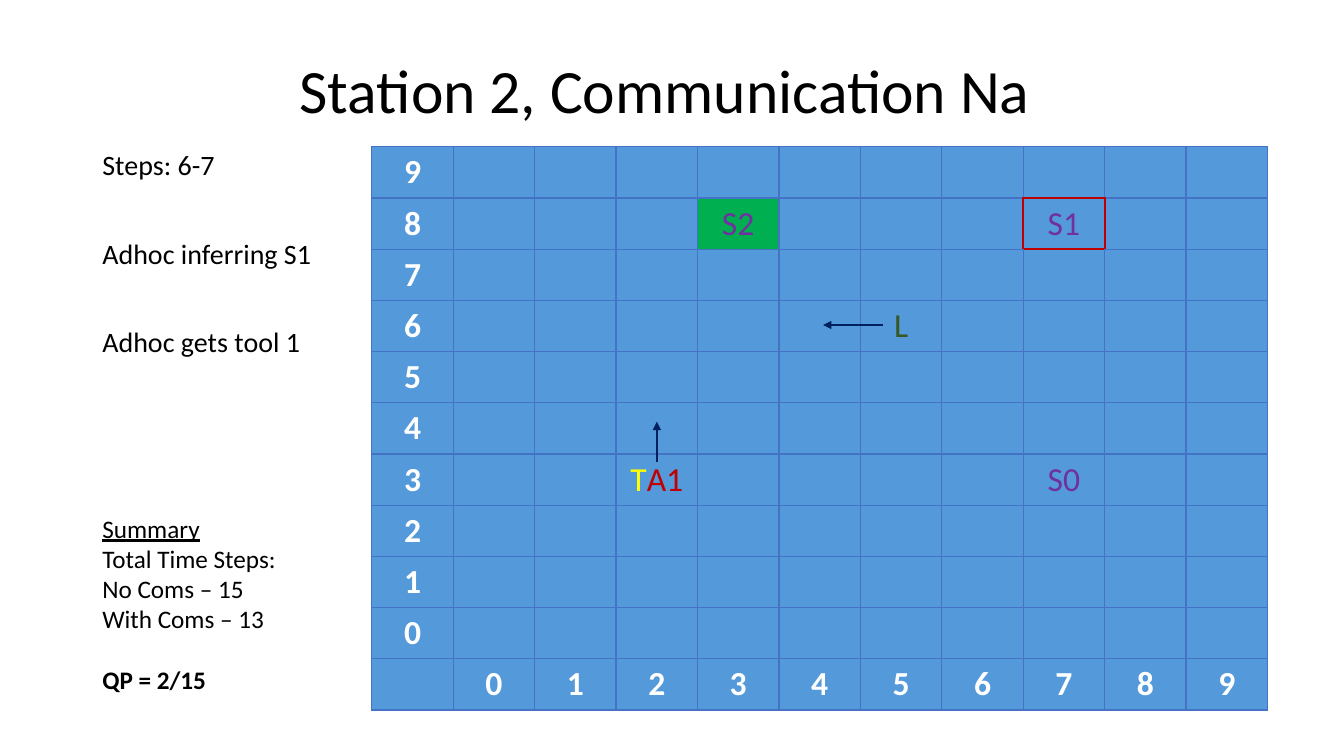
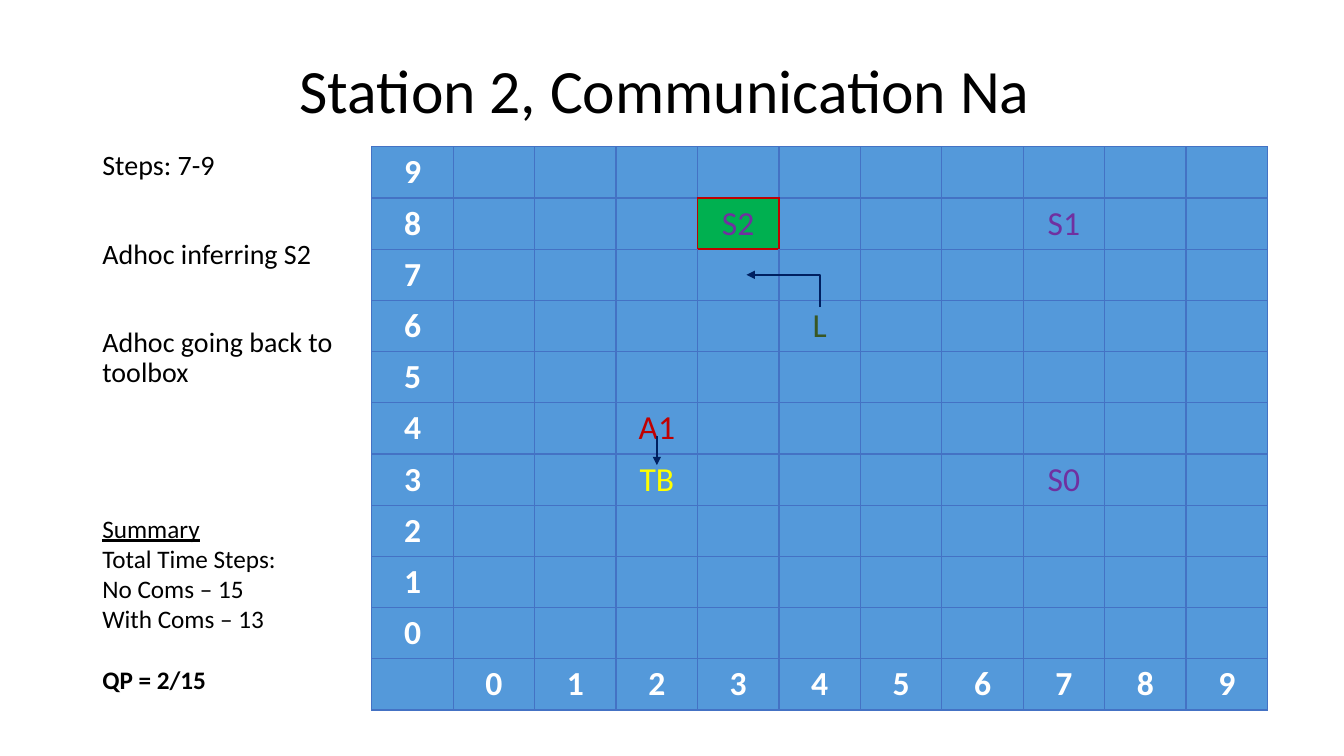
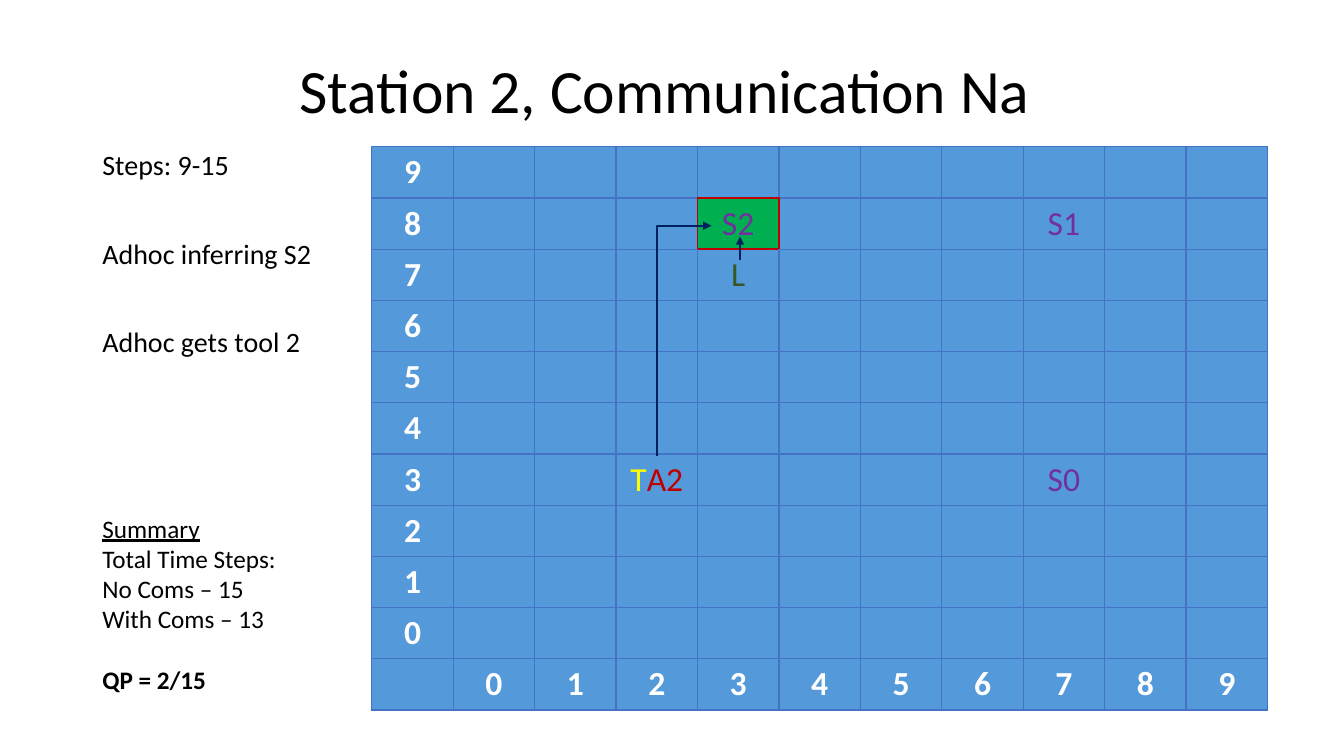
from dataclasses import dataclass

from lxml import etree
from pptx import Presentation
from pptx.dml.color import RGBColor
from pptx.enum.shapes import MSO_CONNECTOR
from pptx.enum.text import MSO_ANCHOR, PP_ALIGN
from pptx.oxml.ns import qn
from pptx.util import Cm, Pt

STRAIGHT, ELBOW = MSO_CONNECTOR.STRAIGHT, MSO_CONNECTOR.ELBOW
TOP, MIDDLE = MSO_ANCHOR.TOP, MSO_ANCHOR.MIDDLE
LEFT, CENTER = PP_ALIGN.LEFT, PP_ALIGN.CENTER


@dataclass(frozen=True)
class Theme:
    """Colours, font and sizes shared by every slide."""
    font: str = "Calibri"
    text: str = "000000"
    label: str = "FFFFFF"
    cell: str = "5499DA"
    border: str = "4472C4"
    goal: str = "00B050"
    inferred: str = "C00000"
    arrow: str = "002060"
    station: str = "7030A0"
    leader: str = "385723"
    adhoc: str = "C00000"
    toolbox: str = "FFFF00"
    title_pt: float = 44
    body_pt: float = 20
    summary_pt: float = 18
    grid_pt: float = 24
    border_pt: float = 1
    accent_pt: float = 1.5


T = Theme()
SIZE = 10
GRID_LEFT, GRID_TOP = 9.37, 3.7
COL_W, ROW_H = 22.58 / (SIZE + 1), 1.29
SIDE_LEFT, SIDE_WIDTH = 2.33, 6.58
GOAL = (3, 8)
STATIONS = {(7, 3): [("S0", T.station)], (7, 8): [("S1", T.station)],
            GOAL: [("S2", T.station)]}
# Side of a cell: border tag and the step to the neighbour it is shared with
SIDES = {"a:lnL": (-1, 0), "a:lnR": (1, 0), "a:lnT": (0, 1), "a:lnB": (0, -1)}


def grid_point(x, y):
    """Turn grid coordinates (cell centres are whole numbers) into lengths."""
    return (Cm(GRID_LEFT + (x + 1.5) * COL_W),
            Cm(GRID_TOP + (SIZE - 0.5 - y) * ROW_H))


class Deck:
    """Holds the theme and the current slide, and draws elements on it."""

    def __init__(self, theme):
        self.theme = theme
        self.prs = Presentation()
        self.prs.slide_width, self.prs.slide_height = Cm(33.87), Cm(19.05)
        self.s = None

    def add_slide(self):
        """Start a new blank slide."""
        self.s = self.prs.slides.add_slide(self.prs.slide_layouts[6])

    def run(self, p, text, size, color, bold=False, underline=False):
        """Add one styled run to a paragraph."""
        r = p.add_run()
        r.text = text
        f = r.font
        f.name, f.size, f.bold, f.underline = self.theme.font, Pt(size), bold, underline
        f.color.rgb = RGBColor.from_string(color)

    def text(self, box, lines, size, anchor=TOP, align=LEFT, spacing=1.0):
        """Add a text box; each line is (text, space before, run style)."""
        tf = self.s.shapes.add_textbox(*map(Cm, box)).text_frame
        tf.word_wrap, tf.vertical_anchor = True, anchor
        for i, (text, before, style) in enumerate(lines):
            p = tf.add_paragraph() if i else tf.paragraphs[0]
            p.alignment, p.line_spacing, p.space_before = align, spacing, Pt(before)
            self.run(p, text, size, self.theme.text, **style)

    def title(self, text):
        """Add the centred slide title."""
        self.text((SIDE_LEFT, 1.01, 29.21, 2.7), [(text, 0, {})],
                  self.theme.title_pt, MIDDLE, CENTER, 0.9)

    def remarks(self, lines):
        """Add the widely spaced remarks beside the grid."""
        self.text((SIDE_LEFT, GRID_TOP, SIDE_WIDTH, 9.4),
                  [(line, 41.5 if i else 0, {}) for i, line in enumerate(lines)],
                  self.theme.body_pt, spacing=0.9)

    def summary(self):
        """Add the summary of time steps."""
        self.text((SIDE_LEFT, 12.8, SIDE_WIDTH, 4.88), [
            ("Summary", 0, {"underline": True}),
            ("Total Time Steps:", 0, {}),
            ("No Coms – 15", 0, {}),
            ("With Coms – 13", 0, {}),
            ("QP = 2/15", 22, {"bold": True}),
        ], self.theme.summary_pt)

    def borders(self, cell, x, y, inferred):
        """Draw the cell borders, accented on the sides of the inferred cell."""
        tc_pr = cell._tc.get_or_add_tcPr()
        for i, (tag, (dx, dy)) in enumerate(SIDES.items()):
            accent = inferred in ((x, y), (x + dx, y + dy))
            width = self.theme.accent_pt if accent else self.theme.border_pt
            ln = etree.Element(qn(tag), w=str(Pt(width)))
            fill = etree.SubElement(ln, qn("a:solidFill"))
            etree.SubElement(fill, qn("a:srgbClr"),
                             val=self.theme.inferred if accent else self.theme.border)
            tc_pr.insert(i, ln)

    def grid(self, marks, inferred):
        """Add the labelled grid; marks maps (x, y) to coloured runs."""
        n = SIZE + 1
        table = self.s.shapes.add_table(n, n, Cm(GRID_LEFT), Cm(GRID_TOP),
                                        Cm(n * COL_W), Cm(n * ROW_H)).table
        table.first_row = table.horz_banding = False
        for row in table.rows:
            row.height = Cm(ROW_H)
        for col in table.columns:
            col.width = Cm(COL_W)
        for row in range(n):
            for col in range(n):
                x, y = col - 1, SIZE - 1 - row
                cell = table.cell(row, col)
                cell.vertical_anchor = MIDDLE
                cell.fill.solid()
                cell.fill.fore_color.rgb = RGBColor.from_string(
                    self.theme.goal if (x, y) == GOAL else self.theme.cell)
                self.borders(cell, x, y, inferred)
                p = cell.text_frame.paragraphs[0]
                p.alignment = CENTER
                is_label = (x < 0) != (y < 0)
                runs = [(str(max(x, y)), self.theme.label)] if is_label else marks.get((x, y), [])
                for text, color in runs:
                    self.run(p, text, self.theme.grid_pt, color, bold=is_label)

    def arrow(self, start, end):
        """Add an arrow between grid points; a bent one leaves vertically."""
        bent = start[0] != end[0] and start[1] != end[1]
        c = self.s.shapes.add_connector(ELBOW if bent else STRAIGHT,
                                        *grid_point(*start), *grid_point(*end))
        c.line.color.rgb = RGBColor.from_string(self.theme.arrow)
        c.line.width = Pt(self.theme.accent_pt)
        sp_pr = c._element.spPr
        if bent:
            guides = sp_pr.find(qn("a:prstGeom")).get_or_add_avLst()
            etree.SubElement(guides, qn("a:gd"), name="adj1", fmla="val 0")
        etree.SubElement(c.line._get_or_add_ln(), qn("a:tailEnd"), type="triangle")
        etree.SubElement(sp_pr, qn("a:effectLst"))


STEPS = [
    {"remarks": ["Steps: 6-7", "Adhoc inferring S1", "Adhoc gets tool 1"],
     "inferred": (7, 8),
     "agents": {(5, 6): [("L", T.leader)],
                (2, 3): [("T", T.toolbox), ("A1", T.adhoc)]},
     "arrows": [((2, 3.34), (2, 4.13)), ((4.77, 6.02), (4.04, 6.02))]},
    {"remarks": ["Steps: 7-9", "Adhoc inferring S2", "Adhoc going back to toolbox"],
     "inferred": GOAL,
     "agents": {(4, 6): [("L", T.leader)], (2, 4): [("A1", T.adhoc)],
                (2, 3): [("TB", T.toolbox)]},
     "arrows": [((2, 3.85), (2, 3.28)), ((4, 6.37), (3.1, 7))]},
    {"remarks": ["Steps: 9-15", "Adhoc inferring S2", "Adhoc gets tool 2"],
     "inferred": GOAL,
     "agents": {(3, 7): [("L", T.leader)],
                (2, 3): [("T", T.toolbox), ("A2", T.adhoc)]},
     "arrows": [((3.02, 7.28), (3.02, 7.75)), ((2, 3.46), (2.67, 7.96))]},
]


def main():
    """Build one slide per step and save the deck."""
    deck = Deck(T)
    for step in STEPS:
        deck.add_slide()
        deck.title("Station 2, Communication Na ")
        deck.remarks(step["remarks"])
        deck.grid(STATIONS | step["agents"], step["inferred"])
        for start, end in step["arrows"]:
            deck.arrow(start, end)
        deck.summary()
    deck.prs.save("out.pptx")


main()
